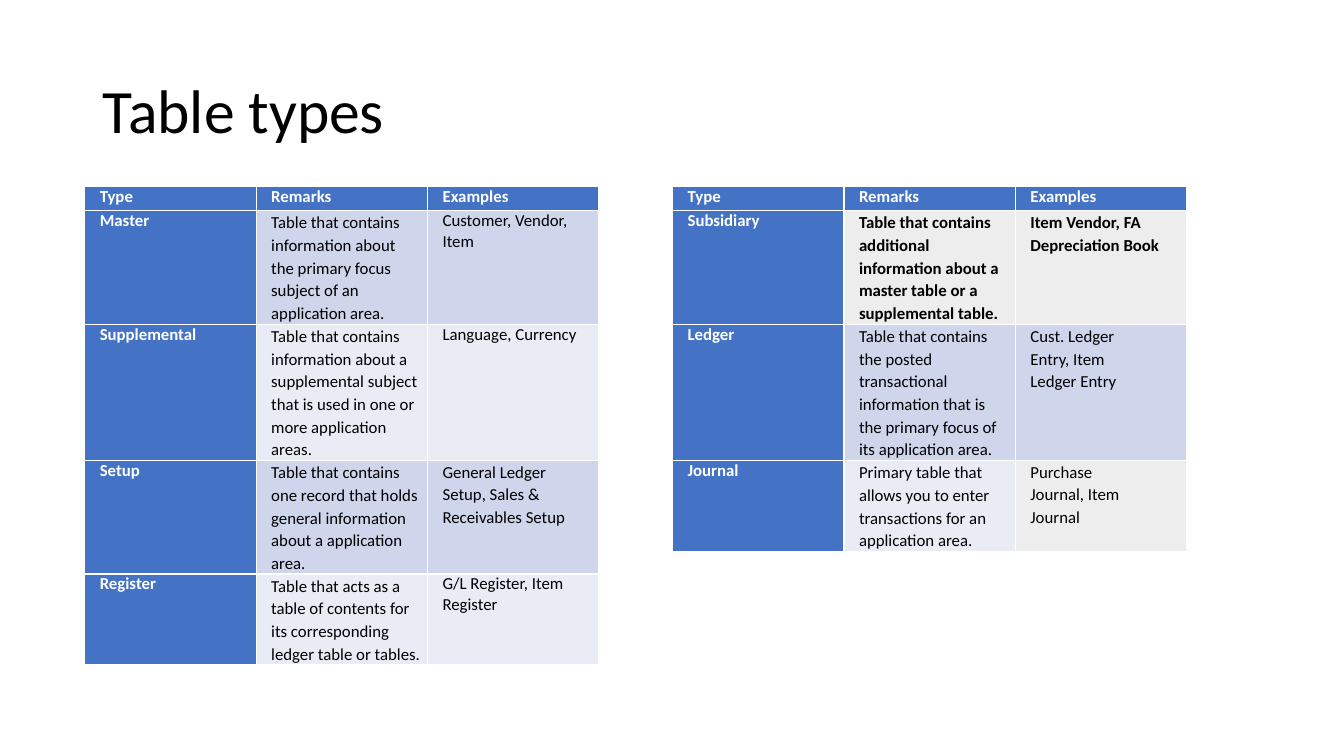
from pptx import Presentation
from pptx.dml.color import RGBColor
from pptx.enum.text import MSO_ANCHOR, PP_ALIGN
from pptx.util import Inches, Pt

BLUE = RGBColor(0x44, 0x72, 0xC4)
DARK = RGBColor(0xCF, 0xD5, 0xEA)
PALE = RGBColor(0xE9, 0xEB, 0xF5)
GREY = RGBColor(0xED, 0xED, 0xED)
WHITE = RGBColor(0xFF, 0xFF, 0xFF)
BLACK = RGBColor(0, 0, 0)

FONT = "Calibri"
COL = 1.7
INSET = 0.07
WIDE = 0.47
LEFT, RIGHT = 0.84, 6.67
TOP, HEAD = 1.85, 0.24

TITLE = "Table types"
NAMES = (HEAD, [("Type", BLUE, 1, INSET), ("Remarks", BLUE, 1, INSET), ("Examples", BLUE, 1, INSET)])


def entry(high, kind, note, case, fill, last=None, gap=1.0, inset=INSET):
    return high, [(kind, BLUE, 1, INSET), (note, fill, 1.11, INSET), (case, last or fill, gap, inset)]


MAIN = [
    NAMES,
    entry(0.83, "Master",
          "Table that contains information about the primary focus subject of an application area.",
          "Customer, Vendor, Item", DARK),
    entry(1.02, "Supplemental",
          "Table that contains information about a supplemental subject that is used in one or more application areas.",
          "Language, Currency", PALE),
    entry(0.83, "Setup",
          "Table that contains one record that holds general information about a application area.",
          "General Ledger Setup, Sales & Receivables Setup", DARK, gap=1.1),
    entry(0.83, "Register",
          "Table that acts as a table of contents for its corresponding ledger table or tables.",
          "G/L Register, Item Register", PALE),
]
MORE = [
    entry(0.83, "Subsidiary",
          "Table that contains additional information about a master table or a supplemental table.",
          "Item Vendor, FA Depreciation Book", GREY, gap=1.11),
    entry(1.02, "Ledger",
          "Table that contains the posted transactional information that is the primary focus of its application area.",
          "Cust. Ledger Entry, Item Ledger Entry", DARK, gap=1.11, inset=WIDE),
    entry(0.64, "Journal",
          "Primary table that allows you to enter transactions for an application area.",
          "Purchase Journal, Item Journal", PALE, GREY, gap=1.1, inset=WIDE),
]
TABLES = [
    (LEFT, TOP, 4.85, MAIN),
    (RIGHT, TOP, HEAD, [NAMES]),
    (RIGHT, TOP + HEAD, 3.29, MORE),
]


def write(cell, text, fill, gap, inset, bold):
    cell.fill.solid()
    cell.fill.fore_color.rgb = fill
    cell.margin_left, cell.margin_right = Inches(INSET), Inches(inset)
    cell.margin_top = cell.margin_bottom = 0
    cell.text = text
    para = cell.text_frame.paragraphs[0]
    para._p.get_or_add_pPr().set("marL", str(Inches(0.08)))
    para.line_spacing = gap
    font = para.font
    font.name, font.size, font.bold = FONT, Pt(12), bold
    font.color.rgb = WHITE if fill == BLUE else BLACK


def draw(slide, left, top, high, rows):
    frame = slide.shapes.add_table(len(rows), 3, Inches(left), Inches(top),
                                   Inches(3 * COL), Inches(high))
    table = frame.table
    table.first_col = True
    for col in table.columns:
        col.width = Inches(COL)
    for r, (tall, cells) in enumerate(rows):
        table.rows[r].height = Inches(tall)
        for c, (text, fill, gap, inset) in enumerate(cells):
            write(table.cell(r, c), text, fill, gap, inset, r == 0 or c == 0)
    frame.height = Inches(high)


def main():
    deck = Presentation()
    deck.slide_width, deck.slide_height = Inches(13.33), Inches(7.5)
    slide = deck.slides.add_slide(deck.slide_layouts[5])
    title = slide.shapes.title
    title.left, title.top = Inches(0.92), Inches(0.4)
    title.width, title.height = Inches(11.5), Inches(1.45)
    title.text_frame.text = TITLE
    title.text_frame.vertical_anchor = MSO_ANCHOR.MIDDLE
    para = title.text_frame.paragraphs[0]
    para.alignment = PP_ALIGN.LEFT
    para.line_spacing = 0.9
    para.font.name, para.font.size = FONT, Pt(44)
    para.font.color.rgb = BLACK
    for left, top, high, rows in TABLES:
        draw(slide, left, top, high, rows)
    deck.save("out.pptx")


if __name__ == "__main__":
    main()
